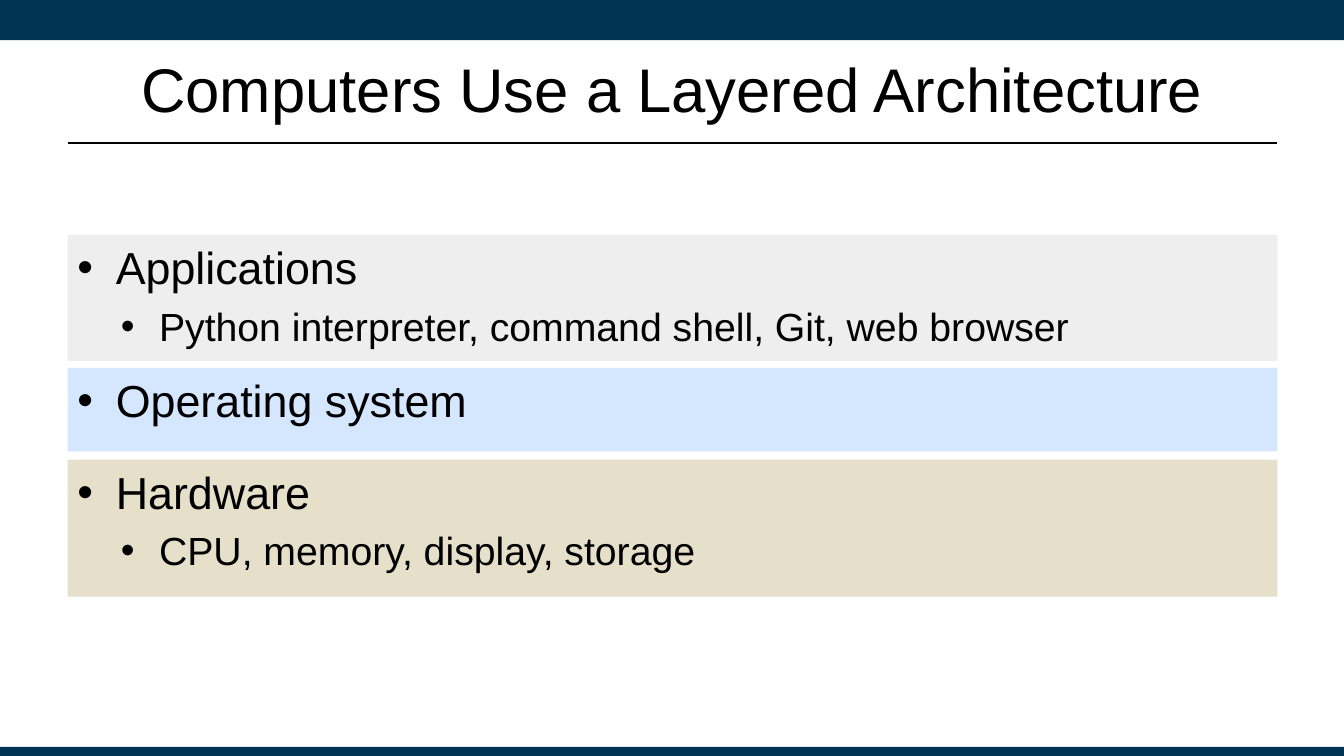
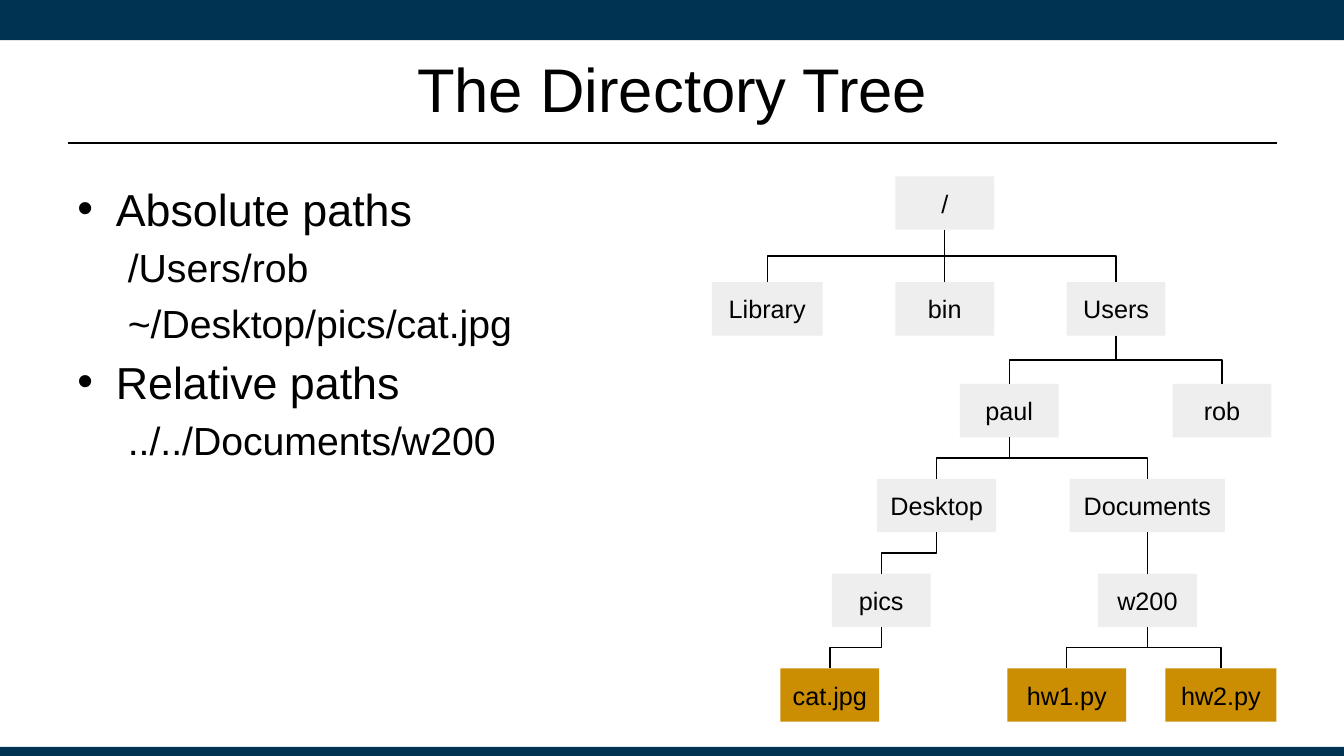
from pptx import Presentation
from pptx.dml.color import RGBColor
from pptx.enum.shapes import MSO_CONNECTOR as Conn, MSO_SHAPE as Shape
from pptx.enum.text import MSO_ANCHOR as Anchor, MSO_AUTO_SIZE as Fit, PP_ALIGN as Align
from pptx.oxml.ns import qn
from pptx.util import Inches, Pt
from lxml import etree

FONT = "Arial"
BLACK, NAVY, GRAY = "000000", "003252", "EEEEEE"
BLUE, SAND, GOLD = "D5E7FF", "E6E0CA", "CB8D01"
LEFT, WIDE = 0.67, 12

HEAD = dict(size=32, bullet=True, margin=0.38)
ITEM = dict(size=28, bullet=True, margin=0.81, level=1, before=6)
PATH = dict(size=28, margin=0.5, level=1, before=6)

LAYERS = [
    (2.33, 1.25, GRAY, [
        ("Applications", HEAD),
        ("Python interpreter, command shell, Git, web browser", ITEM)]),
    (3.65, 0.83, BLUE, [("Operating system", HEAD)]),
    (4.56, 1.36, SAND, [
        ("Hardware", HEAD),
        ("CPU, memory, display, storage", ITEM)]),
]
PATHS = [
    ("Absolute paths", HEAD),
    ("/Users/rob", PATH),
    ("~/Desktop/pics/cat.jpg", PATH),
    ("Relative paths", dict(HEAD, before=6)),
    ("../../Documents/w200", PATH),
]
ROWS = [1.75, 2.8, 3.81, 4.75, 5.69, 6.63]
NODES = [
    ("/", None, 0, 9.37, 0.98, GRAY),
    ("Library", "/", 1, 7.61, 1.1, GRAY),
    ("bin", "/", 1, 9.37, 0.98, GRAY),
    ("Users", "/", 1, 11.07, 0.98, GRAY),
    ("paul", "Users", 2, 10.01, 0.98, GRAY),
    ("rob", "Users", 2, 12.12, 0.98, GRAY),
    ("Desktop", "paul", 3, 9.29, 1.18, GRAY),
    ("Documents", "paul", 3, 11.38, 1.54, GRAY),
    ("pics", "Desktop", 4, 8.74, 0.98, GRAY),
    ("w200", "Documents", 4, 11.38, 0.98, GRAY),
    ("cat.jpg", "pics", 5, 8.23, 0.98, GOLD),
    ("hw1.py", "w200", 5, 10.58, 1.18, GOLD),
    ("hw2.py", "w200", 5, 12.11, 1.1, GOLD),
]


def paint(color, code):
    color.rgb = RGBColor.from_string(code)


def write(para, text, size=18, align=Align.LEFT, bullet=False,
          margin=0, level=0, before=0):
    props = para._p.get_or_add_pPr()
    props.set("marL", str(Inches(margin)))
    props.set("indent", str(Inches(-0.38 if bullet else 0)))
    if bullet:
        etree.SubElement(props, qn("a:buFont")).set("typeface", FONT)
        etree.SubElement(props, qn("a:buChar")).set("char", "•")
    para.text, para.alignment, para.level = text, align, level
    para.space_before = Pt(before)
    para.font.name, para.font.size = FONT, Pt(size)
    paint(para.font.color, BLACK)


def fill_in(frame, lines):
    frame.word_wrap = True
    frame.vertical_anchor = Anchor.TOP
    for i, (text, style) in enumerate(lines):
        para = frame.add_paragraph() if i else frame.paragraphs[0]
        write(para, text, **style)


def add_rect(slide, x, y, w, h, color):
    rect = slide.shapes.add_shape(Shape.RECTANGLE, Inches(x), Inches(y), Inches(w), Inches(h))
    rect.shadow.inherit = False
    rect.fill.solid()
    paint(rect.fill.fore_color, color)
    rect.line.fill.background()
    return rect


def add_line(slide, kind, start, end, width):
    line = slide.shapes.add_connector(kind, *start, *end)
    paint(line.line.color, BLACK)
    line.line.width = Pt(width)
    etree.SubElement(line._element.spPr, qn("a:effectLst"))
    return line


def add_slide(deck, text):
    slide = deck.slides.add_slide(deck.slide_layouts[5])
    add_rect(slide, 0, 0, 13.33, 0.4, NAVY)
    add_rect(slide, 0, 7.41, 13.33, 0.09, NAVY)
    rule = Inches(1.42)
    add_line(slide, Conn.STRAIGHT, (Inches(LEFT), rule), (Inches(LEFT + WIDE), rule), 1.25)
    title = slide.shapes.title
    title.left, title.top = Inches(LEFT), Inches(0.25)
    title.width, title.height = Inches(WIDE), Inches(1.25)
    frame = title.text_frame
    frame.auto_size = Fit.NONE
    frame.vertical_anchor = Anchor.MIDDLE
    write(frame.paragraphs[0], text, size=44, align=Align.CENTER)
    return slide


def add_node(slide, text, x, y, w, color):
    node = add_rect(slide, x - w / 2, y, w, 0.53, color)
    frame = node.text_frame
    frame.margin_left = frame.margin_right = Inches(0.1)
    frame.vertical_anchor = Anchor.MIDDLE
    write(frame.paragraphs[0], text, align=Align.CENTER)
    return node


def link(slide, top, low):
    x1, y1 = top.left + top.width // 2, top.top + top.height
    x2, y2 = low.left + low.width // 2, low.top
    line = add_line(slide, Conn.ELBOW, (x1, y1), (x2, y2), 1)
    line.begin_connect(top, 2)
    line.end_connect(low, 0)
    drop, span = y2 - y1, abs(x2 - x1)
    line.left, line.top = (x1 + x2 - drop) // 2, (y1 + y2 - span) // 2
    line.width, line.height = drop, span
    right = x2 >= x1
    frame = line._element.spPr.find(qn("a:xfrm"))
    frame.set("rot", "16200000" if right else "5400000")
    frame.set("flipH", "1" if right else "0")
    frame.set("flipV", "0")


def add_layers(deck):
    slide = add_slide(deck, "Computers Use a Layered Architecture")
    for y, h, color, lines in LAYERS:
        fill_in(add_rect(slide, LEFT, y, WIDE, h, color).text_frame, lines)


def add_tree(deck):
    slide = add_slide(deck, "The Directory Tree")
    box = slide.shapes.add_textbox(Inches(LEFT), Inches(1.75), Inches(6.13), Inches(4.95))
    fill_in(box.text_frame, PATHS)
    nodes = {}
    for text, top, row, x, w, color in NODES:
        nodes[text] = add_node(slide, text, x, ROWS[row], w, color)
        if top:
            link(slide, nodes[top], nodes[text])


def main():
    deck = Presentation()
    deck.slide_width, deck.slide_height = Inches(13.33), Inches(7.5)
    add_layers(deck)
    add_tree(deck)
    deck.save("out.pptx")


if __name__ == "__main__":
    main()
